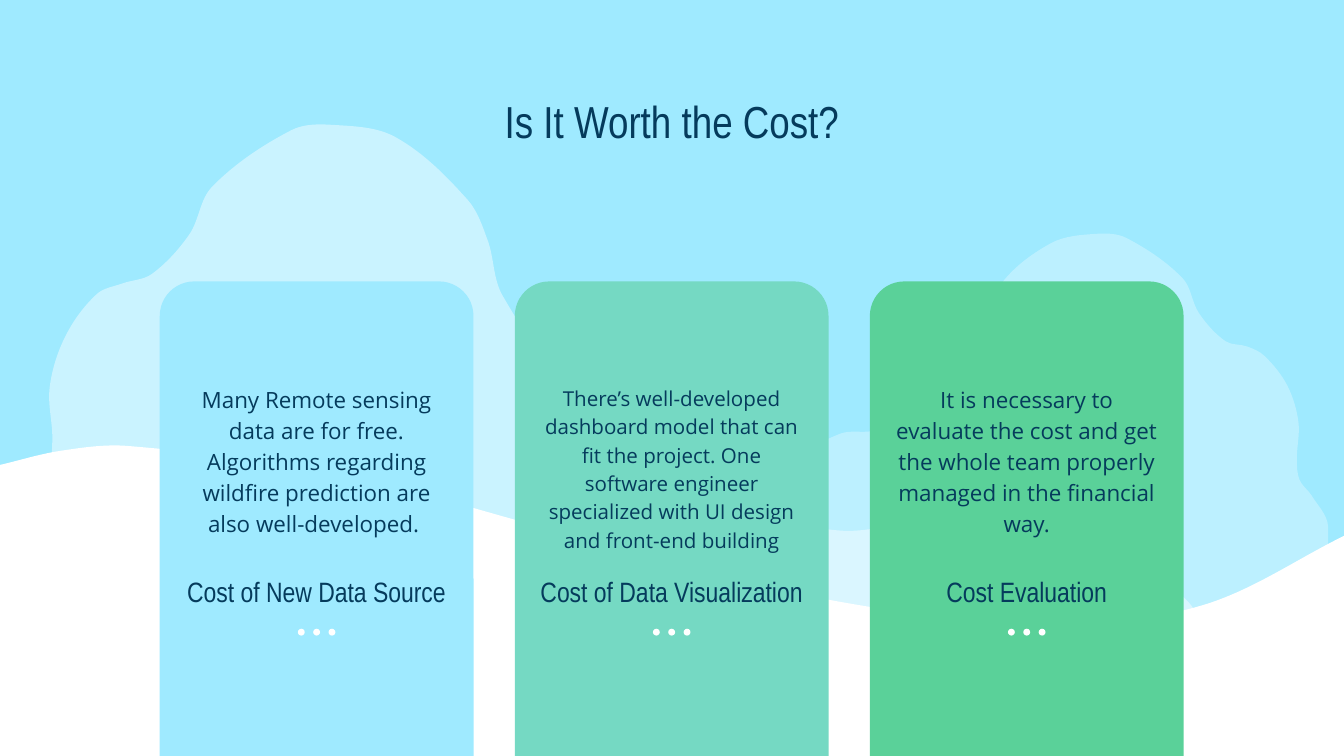
from math import dist

from lxml import etree
from pptx import Presentation
from pptx.dml.color import RGBColor
from pptx.enum.shapes import MSO_SHAPE as Preset
from pptx.enum.text import MSO_ANCHOR as Anchor, PP_ALIGN as Align
from pptx.oxml.ns import qn
from pptx.util import Cm, Pt

COLORS = {
    "sky": "9FEAFF",
    "white": "FFFFFF",
    "ink": "053B5C",
    "teal": "75D9C3",
    "green": "5AD199",
}
HEADING_FONT = "Arial Narrow"
BODY_FONT = "Open Sans"

TITLE = "Is It Worth the Cost?"
# Heading, body, body size in points, space after body in points, card colour
CARDS = [
    ("Cost of New Data Source",
     "Many Remote sensing data are for free. Algorithms regarding wildfire "
     "prediction are also well-developed. ", 12, 0, "sky"),
    ("Cost of Data Visualization",
     "There’s well-developed dashboard model that can fit the project. One software "
     "engineer specialized with UI design and front-end building", 11, 16, "teal"),
    ("Cost Evaluation",
     "It is necessary to evaluate the cost and get the whole team properly managed "
     "in the financial way.", 12, 16, "green"),
]

# Points on the outlines, in centimetres
RIGHT_CLOUD = [
    (20.73, 4.42), (21.29, 4.5), (22.35, 5.26), (22.66, 5.92), (23.16, 6.45),
    (23.57, 6.55), (23.9, 6.73), (24.33, 7.29), (24.54, 7.98), (24.51, 8.69),
    (24.56, 9.07), (24.79, 9.37), (25.1, 9.96), (24.84, 11.07), (23.57, 11.76),
    (22.33, 11.89), (20.68, 11.79), (19.74, 11.89), (18.87, 12.17), (17.25, 12.45),
    (16.41, 12.57), (15.6, 12.5), (14.5, 12.52), (11.66, 12.34), (9.3, 11.86),
    (8.99, 11.15), (9.53, 10.62), (10.67, 10.49), (11.58, 10.03), (12.5, 9.78),
    (13.87, 9.91), (14.78, 9.58), (15.11, 8.69), (15.88, 8.2), (16.48, 8.15),
    (17.5, 7.9), (18.42, 6.73), (18.87, 5.44), (19.86, 4.6),
]
LEFT_CLOUD = [
    (6.27, 2.36), (5.51, 2.46), (4.01, 3.53), (3.58, 4.43), (2.87, 5.18),
    (2.31, 5.36), (1.83, 5.56), (1.24, 6.35), (0.94, 7.32), (0.99, 8.31),
    (0.91, 8.86), (0.58, 9.3), (0.18, 10.08), (0.51, 11.63), (2.29, 12.6),
    (4.01, 12.8), (6.32, 12.65), (7.65, 12.8), (8.86, 13.18), (9.68, 13.36),
    (11.13, 13.56), (12.32, 13.74), (13.44, 13.64), (14.96, 13.69), (18.95, 13.44),
    (22.23, 12.75), (22.66, 11.76), (21.92, 11.02), (20.29, 10.85), (19.05, 10.21),
    (17.78, 9.83), (15.88, 10.03), (14.55, 9.58), (14.1, 8.33), (13.06, 7.65),
    (12.19, 7.57), (10.77, 7.21), (9.5, 5.59), (9.22, 4.55), (8.84, 3.78),
    (7.47, 2.59),
]
HILL_CREST = [
    (0, 8.79), (1.16, 8.52), (2.41, 8.43), (6.4, 8.96), (10.81, 10.12),
    (15.35, 11.28), (19.76, 11.81), (22.73, 11.44), (25.4, 10.13),
]

# Layout, in centimetres
PAGE_W, PAGE_H = 25.4, 14.29
CARD_LEFT, CARD_TOP, CARD_W, CARD_PITCH = 3.02, 5.32, 5.93, 6.71
TEXT_W = 5.51
DOT_SIZE, DOT_PITCH, DOT_MIDDLE = 0.13, 0.29, 11.95
INSET = 0.25


def paint(shape, color, opacity=100):
    shape.shadow.inherit = False
    shape.line.fill.background()
    shape.fill.solid()
    shape.fill.fore_color.rgb = RGBColor.from_string(COLORS[color])
    if opacity < 100:
        tint = shape.fill._xPr.find(".//" + qn("a:srgbClr"))
        etree.SubElement(tint, qn("a:alpha"), val=str(opacity * 1000))


def handle(start, before, after, length):
    """Return a Bezier handle at start, parallel to the line from before to after."""
    reach = length / 3 / dist(before, after)
    return tuple(s + (a - b) * reach for s, b, a in zip(start, before, after))


def bend(shape, count, closed):
    """Turn the first count straight segments into one smooth curve."""
    path = shape._element.find(".//" + qn("a:path"))
    points = [(int(pt.get("x")), int(pt.get("y")))
              for pt in path.iter(qn("a:pt"))][:count + 1]
    first, last = (points[-2], points[1]) if closed else (points[0], points[-1])
    guides = [first, *points, last]
    lines = path.findall(qn("a:lnTo"))
    for line, a, b, c, d in zip(lines, guides, guides[1:], guides[2:], guides[3:]):
        length = dist(b, c)
        curve = etree.Element(qn("a:cubicBezTo"))
        for x, y in (handle(b, a, c, length), handle(c, d, b, length), c):
            etree.SubElement(curve, qn("a:pt"), x=str(round(x)), y=str(round(y)))
        path.replace(line, curve)


def add_outline(page, curve, corners=(), opacity=100):
    """Draw a curve closed by corners, or closed onto its own start without any."""
    closed = not corners
    points = [(Cm(x), Cm(y)) for x, y in [*curve, *(corners or curve[:1])]]
    builder = page.shapes.build_freeform(*points[0])
    builder.add_line_segments(points[1:], close=True)
    shape = builder.convert_to_shape()
    bend(shape, len(curve) if closed else len(curve) - 1, closed)
    paint(shape, "white", opacity)


def add_text(page, area, text, size, font, anchor=Anchor.TOP, spacing=None, after=0):
    box = page.shapes.add_textbox(*map(Cm, area))
    frame = box.text_frame
    frame.word_wrap = True
    frame.vertical_anchor = anchor
    frame.margin_left = frame.margin_right = Cm(INSET)
    frame.margin_top = frame.margin_bottom = Cm(INSET)
    para = frame.paragraphs[0]
    para.text = text
    para.alignment = Align.CENTER
    para.line_spacing = spacing
    para.space_after = Pt(after)
    para.font.size = Pt(size)
    para.font.name = font
    para.font.color.rgb = RGBColor.from_string(COLORS["ink"])


def add_card(page, left, heading, body, size, after, color):
    card = page.shapes.add_shape(Preset.ROUND_2_SAME_RECTANGLE, Cm(left), Cm(CARD_TOP),
                                 Cm(CARD_W), Cm(PAGE_H - CARD_TOP))
    card.adjustments[0] = 0.11
    paint(card, color)

    text_left = left + (CARD_W - TEXT_W) / 2
    add_text(page, (text_left, 6.98, TEXT_W, 3.2), body, size, BODY_FONT,
             spacing=1.15, after=after)
    add_text(page, (text_left, 10.37, TEXT_W, 1.37), heading, 15, HEADING_FONT,
             anchor=Anchor.BOTTOM)

    for offset in (-1, 0, 1):
        center = left + CARD_W / 2 + offset * DOT_PITCH
        dot = page.shapes.add_shape(Preset.OVAL, Cm(center - DOT_SIZE / 2),
                                    Cm(DOT_MIDDLE - DOT_SIZE / 2),
                                    Cm(DOT_SIZE), Cm(DOT_SIZE))
        paint(dot, "white")


def main():
    deck = Presentation()
    deck.slide_width, deck.slide_height = Cm(PAGE_W), Cm(PAGE_H)
    page = deck.slides.add_slide(deck.slide_layouts[6])
    page.background.fill.solid()
    page.background.fill.fore_color.rgb = RGBColor.from_string(COLORS["sky"])

    add_outline(page, RIGHT_CLOUD, opacity=31)
    add_outline(page, LEFT_CLOUD, opacity=45)
    add_outline(page, HILL_CREST, corners=[(PAGE_W, PAGE_H), (0, PAGE_H)])

    add_text(page, (1.99, 1.52, 21.41, 1.6), TITLE, 24, HEADING_FONT)
    for index, card in enumerate(CARDS):
        add_card(page, CARD_LEFT + index * CARD_PITCH, *card)
    deck.save("out.pptx")


if __name__ == "__main__":
    main()
